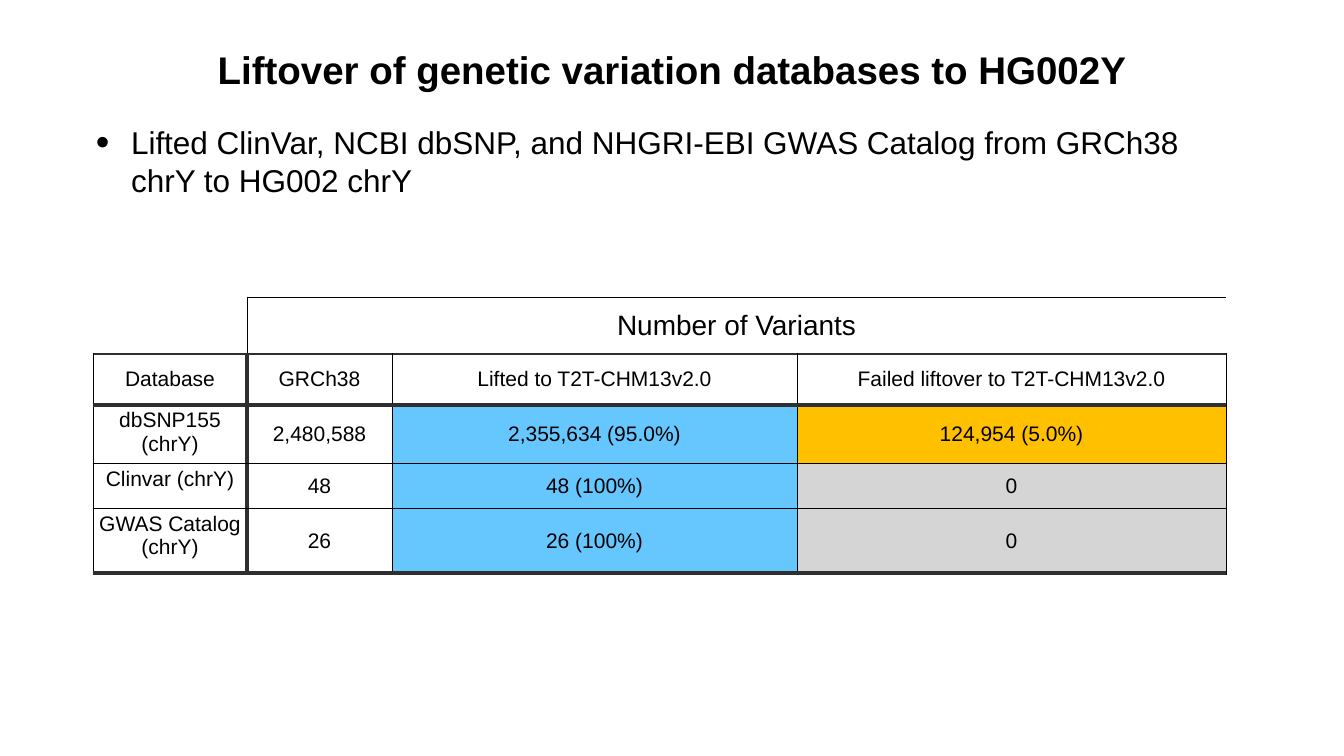
from lxml import etree
from pptx import Presentation
from pptx.dml.color import RGBColor
from pptx.enum.text import MSO_ANCHOR, MSO_AUTO_SIZE, PP_ALIGN
from pptx.oxml.ns import qn
from pptx.util import Emu, Pt

EMU_PER_PX = 914400 / 50.4
FONT = "Arial"
BLACK, WHITE, CHARCOAL = "000000", "FFFFFF", "2F2F2F"
BLUE, AMBER, GREY = "66C7FF", "FFC000", "D5D5D5"
LEFT, CENTER = PP_ALIGN.LEFT, PP_ALIGN.CENTER
TOP, MIDDLE = MSO_ANCHOR.TOP, MSO_ANCHOR.MIDDLE
FIXED, GROW = MSO_AUTO_SIZE.NONE, MSO_AUTO_SIZE.SHAPE_TO_FIT_TEXT

COLUMN_WIDTHS = [154, 145, 405, 429]
ROW_HEIGHTS = [57, 51, 58, 45, 65]
VARIANT_ROWS = [
    ["", "Number of Variants", "", ""],
    ["Database", "GRCh38", "Lifted to T2T-CHM13v2.0", "Failed liftover to T2T-CHM13v2.0"],
    ["dbSNP155 (chrY)", "2,480,588", "2,355,634 (95.0%)", "124,954 (5.0%)"],
    ["Clinvar (chrY)", "48", "48 (100%)", "0"],
    ["GWAS Catalog (chrY)", "26", "26 (100%)", "0"],
]
THIN, MEDIUM, THICK = (BLACK, 1), (CHARCOAL, 3), (CHARCOAL, 6)
BLANK = (WHITE, 1)


def px(length):
    return Emu(round(length * EMU_PER_PX))


def color(hex_string):
    return RGBColor.from_string(hex_string)


def write_text(paragraph, text, size, bold=False, align=CENTER):
    paragraph.alignment = align
    paragraph.space_before = Pt(0)
    run = paragraph.add_run()
    run.text = text
    run.font.name = FONT
    run.font.size = Pt(size)
    run.font.bold = bold
    run.font.color.rgb = color(BLACK)


def add_bullet(paragraph, indent, size_percent):
    properties = paragraph._p.get_or_add_pPr()
    properties.set("marL", str(px(indent)))
    properties.set("indent", str(-px(indent)))
    etree.SubElement(properties, qn("a:buSzPct"), val=str(size_percent * 1000))
    etree.SubElement(properties, qn("a:buFont"), typeface=FONT)
    etree.SubElement(properties, qn("a:buChar"), char="•")


def set_margins(target, margin):
    target.margin_left = target.margin_right = px(margin)
    target.margin_top = target.margin_bottom = px(margin)


def place_placeholder(shape, left, top, width, height, auto_size):
    """Move a placeholder and return its first paragraph."""
    shape.left, shape.top = px(left), px(top)
    shape.width, shape.height = px(width), px(height)
    frame = shape.text_frame
    frame.word_wrap = True
    frame.auto_size = auto_size
    frame.vertical_anchor = MIDDLE
    set_margins(frame, 3)
    return frame.paragraphs[0]


def horizontal_edge(edge, column):
    """Line above row number edge."""
    if edge == 0 and column == 0:
        return BLANK
    return {1: MEDIUM, 2: THICK, 5: THICK}.get(edge, THIN)


def vertical_edge(edge, row):
    """Line left of column number edge; none inside the merged heading."""
    if row == 0:
        return {0: BLANK, 2: None, 3: None}.get(edge, THIN)
    return THICK if edge == 1 else THIN


def set_borders(cell, row, column):
    properties = cell._tc.get_or_add_tcPr()
    borders = {
        "a:lnL": vertical_edge(column, row),
        "a:lnR": vertical_edge(column + 1, row),
        "a:lnT": horizontal_edge(row, column),
        "a:lnB": horizontal_edge(row + 1, column),
    }
    for tag, border in borders.items():
        if border is None:
            line = etree.SubElement(properties, qn(tag), w="0")
            etree.SubElement(line, qn("a:noFill"))
            continue
        hex_string, width = border
        line = etree.SubElement(properties, qn(tag), w=str(Pt(width)))
        fill = etree.SubElement(line, qn("a:solidFill"))
        etree.SubElement(fill, qn("a:srgbClr"), val=hex_string)


def cell_fill(row, column):
    if row < 2 or column < 2:
        return None
    if column == 2:
        return BLUE
    return AMBER if row == 2 else GREY


def format_cell(cell, text, row, column):
    set_margins(cell, 4)
    cell.vertical_anchor = TOP if row > 1 and column == 0 else MIDDLE
    set_borders(cell, row, column)
    fill = cell_fill(row, column)
    if fill:
        cell.fill.solid()
        cell.fill.fore_color.rgb = color(fill)
    else:
        cell.fill.background()
    if text:
        write_text(cell.text_frame.paragraphs[0], text, 40 if row == 0 else 30)


def add_variant_table(slide, left, top):
    frame = slide.shapes.add_table(
        len(ROW_HEIGHTS), len(COLUMN_WIDTHS), px(left), px(top),
        px(sum(COLUMN_WIDTHS)), px(sum(ROW_HEIGHTS)))
    table = frame.table
    table.first_row = table.horz_banding = False
    for column, width in zip(table.columns, COLUMN_WIDTHS):
        column.width = px(width)
    for row, height in zip(table.rows, ROW_HEIGHTS):
        row.height = px(height)
    table.cell(0, 1).merge(table.cell(0, 3))
    for row, texts in enumerate(VARIANT_ROWS):
        for column, text in enumerate(texts):
            format_cell(table.cell(row, column), text, row, column)


def main():
    presentation = Presentation()
    presentation.slide_width, presentation.slide_height = px(1344), px(756)
    slide = presentation.slides.add_slide(presentation.slide_layouts[1])

    title = place_placeholder(slide.shapes.title, 0, 40, 1344, 59, FIXED)
    write_text(title, "Liftover of genetic variation databases to HG002Y", 55, bold=True)

    body = place_placeholder(slide.placeholders[1], 93, 120, 1133, 82, GROW)
    add_bullet(body, indent=35, size_percent=123)
    write_text(
        body,
        "Lifted ClinVar, NCBI dbSNP, and NHGRI-EBI GWAS Catalog from GRCh38 chrY to HG002 chrY",
        45, align=LEFT)

    add_variant_table(slide, 93, 297)
    presentation.save("out.pptx")


if __name__ == "__main__":
    main()
